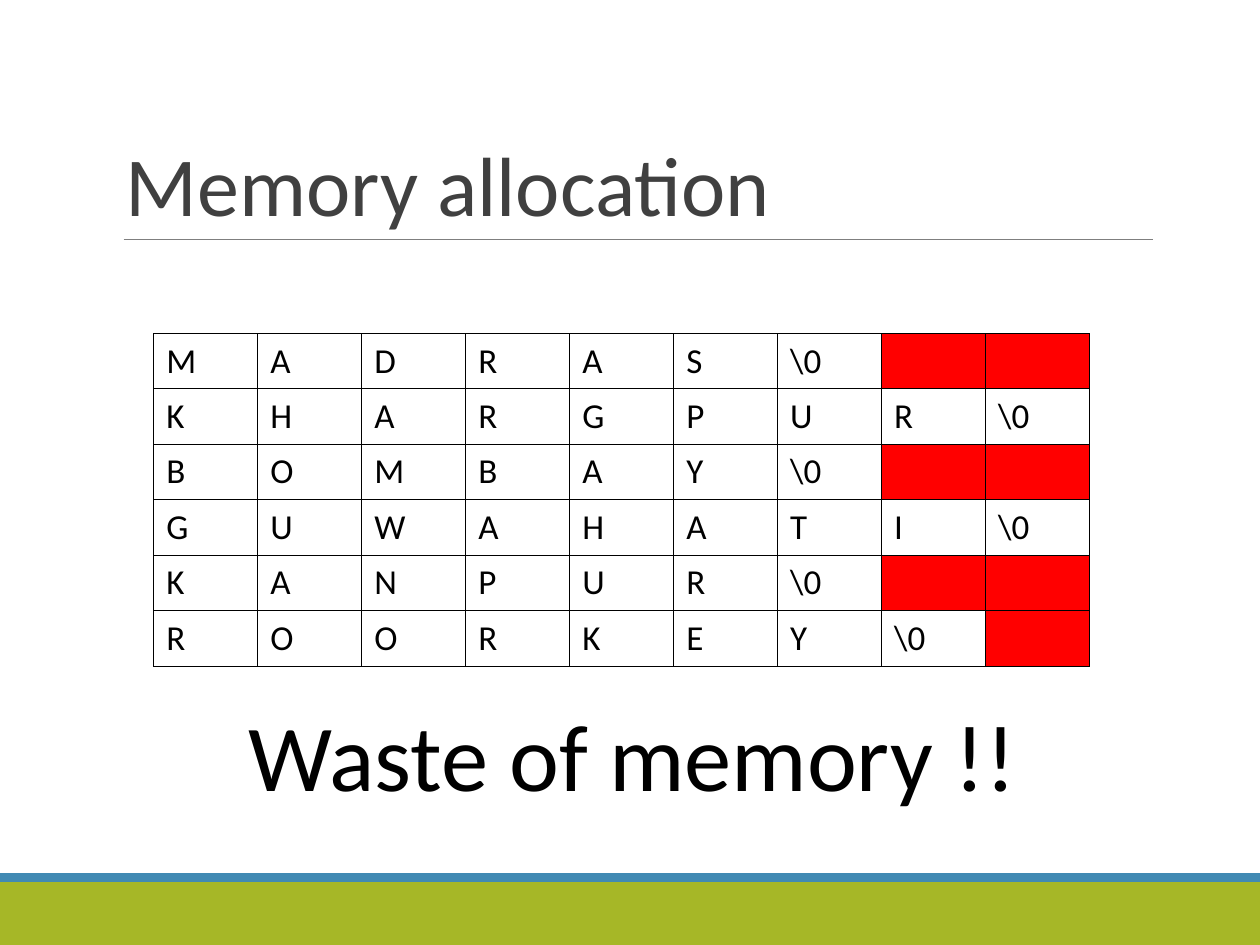
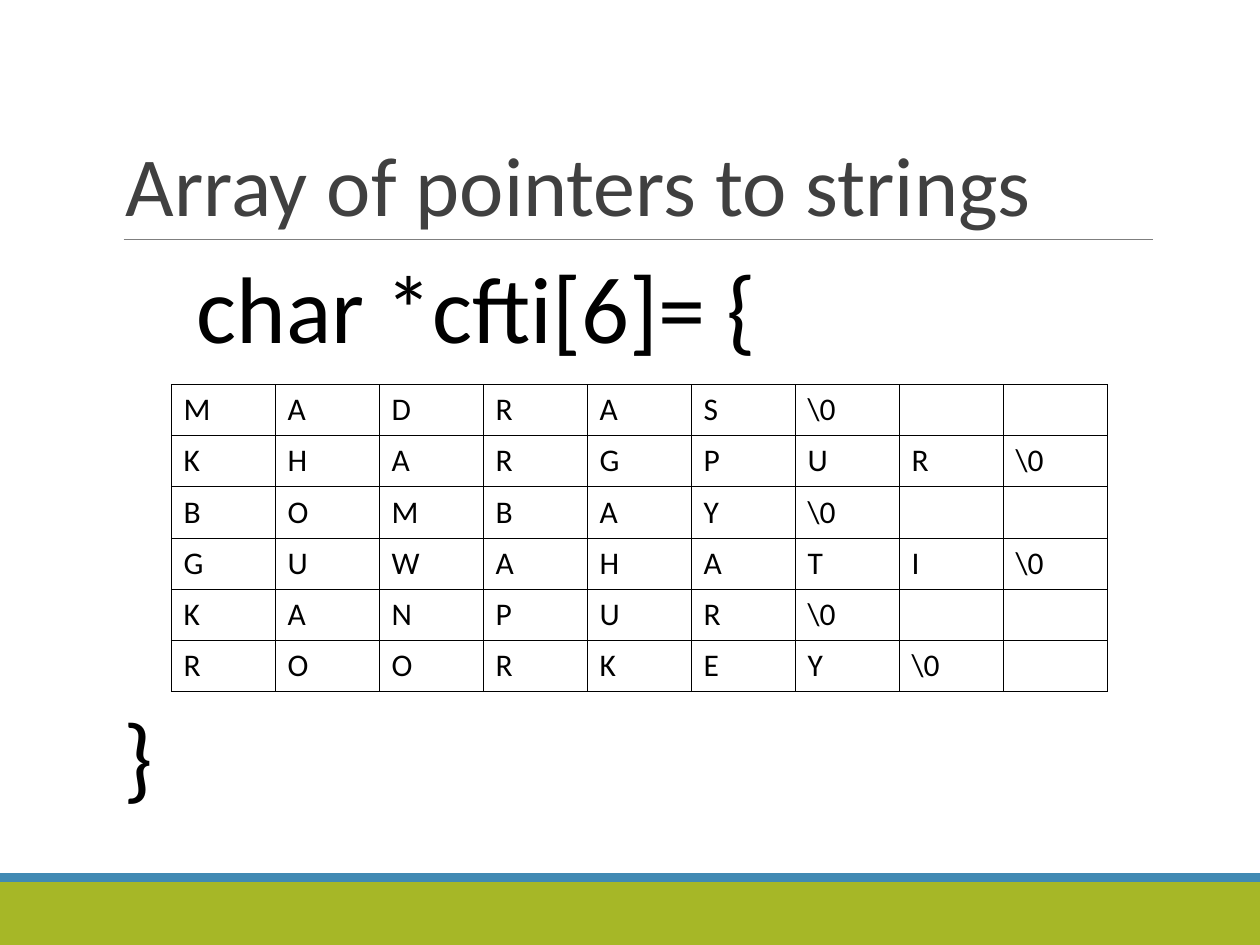
from lxml import etree
from pptx import Presentation
from pptx.dml.color import RGBColor
from pptx.enum.shapes import MSO_CONNECTOR, MSO_SHAPE
from pptx.enum.text import MSO_ANCHOR, MSO_AUTO_SIZE, PP_ALIGN
from pptx.oxml.ns import qn
from pptx.util import Cm, Pt

RECTANGLE = MSO_SHAPE.RECTANGLE
STRAIGHT = MSO_CONNECTOR.STRAIGHT
BOTTOM = MSO_ANCHOR.BOTTOM
CENTER = PP_ALIGN.CENTER
GROW = MSO_AUTO_SIZE.SHAPE_TO_FIT_TEXT

FONT = "Calibri"
BLACK = "000000"
TITLE_GREY = "404040"
RULE_GREY = "7F7F7F"
GREEN = "A6B727"
BLUE = "418AB3"
WASTE_RED = "FF0000"

SLIDE_WIDTH = Cm(25.4)
SLIDE_HEIGHT = Cm(19.05)
TITLE_BOX = (Cm(2.29), Cm(0.79), Cm(20.95), Cm(4.04))
FOOTER_BOX = (Cm(0), Cm(17.6), SLIDE_WIDTH, Cm(1.45))
STRIPE_HEIGHT = Cm(0.18)
TABLE_WIDTH = Cm(18.87)

CITIES = ["MADRAS", "KHARGPUR", "BOMBAY", "GUWAHATI", "KANPUR", "ROORKEY"]
TERMINATOR = "\\0"
COLUMN_COUNT = max(map(len, CITIES)) + 1


def color(hex_string):
    return RGBColor.from_string(hex_string)


def style_font(paragraph, size, font_color):
    for run in paragraph.runs:
        run.font.name = FONT
        run.font.size = Pt(size)
        run.font.color.rgb = color(font_color)


def add_band(slide, box, fill_color):
    band = slide.shapes.add_shape(RECTANGLE, *box)
    band.shadow.inherit = False
    band.fill.solid()
    band.fill.fore_color.rgb = color(fill_color)
    band.line.fill.background()


def add_footer(slide, box):
    left, top, width, height = box
    green_top = top + STRIPE_HEIGHT
    add_band(slide, (left, green_top, width, height - STRIPE_HEIGHT), GREEN)
    add_band(slide, (left, top, width, STRIPE_HEIGHT), BLUE)


def add_title(slide, box, title):
    left, top, width, height = box
    bottom = top + height
    rule = slide.shapes.add_connector(
        STRAIGHT, left + Cm(0.2), bottom, left + width, bottom)
    rule.line.color.rgb = color(RULE_GREY)
    rule.line.width = Pt(0.5)
    etree.SubElement(rule._element.spPr, qn("a:effectLst"))

    text_frame = slide.shapes.add_textbox(*box).text_frame
    text_frame.word_wrap = True
    text_frame.vertical_anchor = BOTTOM
    text_frame.text = title
    paragraph = text_frame.paragraphs[0]
    paragraph.line_spacing = 0.85
    style_font(paragraph, 48, TITLE_GREY)


def add_large_text(slide, box, text):
    text_frame = slide.shapes.add_textbox(*box).text_frame
    text_frame.word_wrap = False
    text_frame.auto_size = GROW
    text_frame.text = text
    paragraph = text_frame.paragraphs[0]
    paragraph.alignment = CENTER
    style_font(paragraph, 54, BLACK)


def set_borders(cell):
    properties = cell._tc.get_or_add_tcPr()
    for side in ("a:lnL", "a:lnR", "a:lnT", "a:lnB"):
        line = etree.SubElement(properties, qn(side), w=str(Pt(0.45)))
        fill = etree.SubElement(line, qn("a:solidFill"))
        etree.SubElement(fill, qn("a:srgbClr"), val=BLACK)


def add_city_table(slide, box, size, unused_color=None):
    table = slide.shapes.add_table(len(CITIES), COLUMN_COUNT, *box).table
    table.first_row = False
    table.horz_banding = False
    for column in table.columns:
        column.width = box[2] // COLUMN_COUNT
    for row, city in zip(table.rows, CITIES):
        row.height = box[3] // len(CITIES)
        characters = [*city, TERMINATOR]
        for index, cell in enumerate(row.cells):
            set_borders(cell)
            used = index < len(characters)
            if used:
                cell.text_frame.text = characters[index]
                style_font(cell.text_frame.paragraphs[0], size, BLACK)
            if used or unused_color is None:
                cell.fill.background()
            else:
                cell.fill.solid()
                cell.fill.fore_color.rgb = color(unused_color)


def add_base_slide(presentation, title):
    slide = presentation.slides.add_slide(presentation.slide_layouts[6])
    add_footer(slide, FOOTER_BOX)
    add_title(slide, TITLE_BOX, title)
    return slide


def build_memory_slide(presentation):
    slide = add_base_slide(presentation, "Memory allocation")
    table_box = (Cm(3.1), Cm(6.72), TABLE_WIDTH, Cm(6.71))
    add_city_table(slide, table_box, 20, WASTE_RED)
    add_large_text(slide, (Cm(3.81), Cm(13.92), Cm(17.88), Cm(2.54)),
                   "Waste of memory !!")


def build_pointer_slide(presentation):
    slide = add_base_slide(presentation, "Array of pointers to strings")
    table_box = (Cm(3.45), Cm(7.75), TABLE_WIDTH, Cm(6.19))
    add_city_table(slide, table_box, 18)
    add_large_text(slide, (Cm(2.92), Cm(4.9), Cm(13.39), Cm(2.54)),
                   "char *cfti[6]= {")
    add_large_text(slide, (Cm(2.18), Cm(13.92), Cm(1.22), Cm(2.54)), "}")


def main():
    presentation = Presentation()
    presentation.slide_width = SLIDE_WIDTH
    presentation.slide_height = SLIDE_HEIGHT
    build_memory_slide(presentation)
    build_pointer_slide(presentation)
    presentation.save("out.pptx")


if __name__ == "__main__":
    main()
